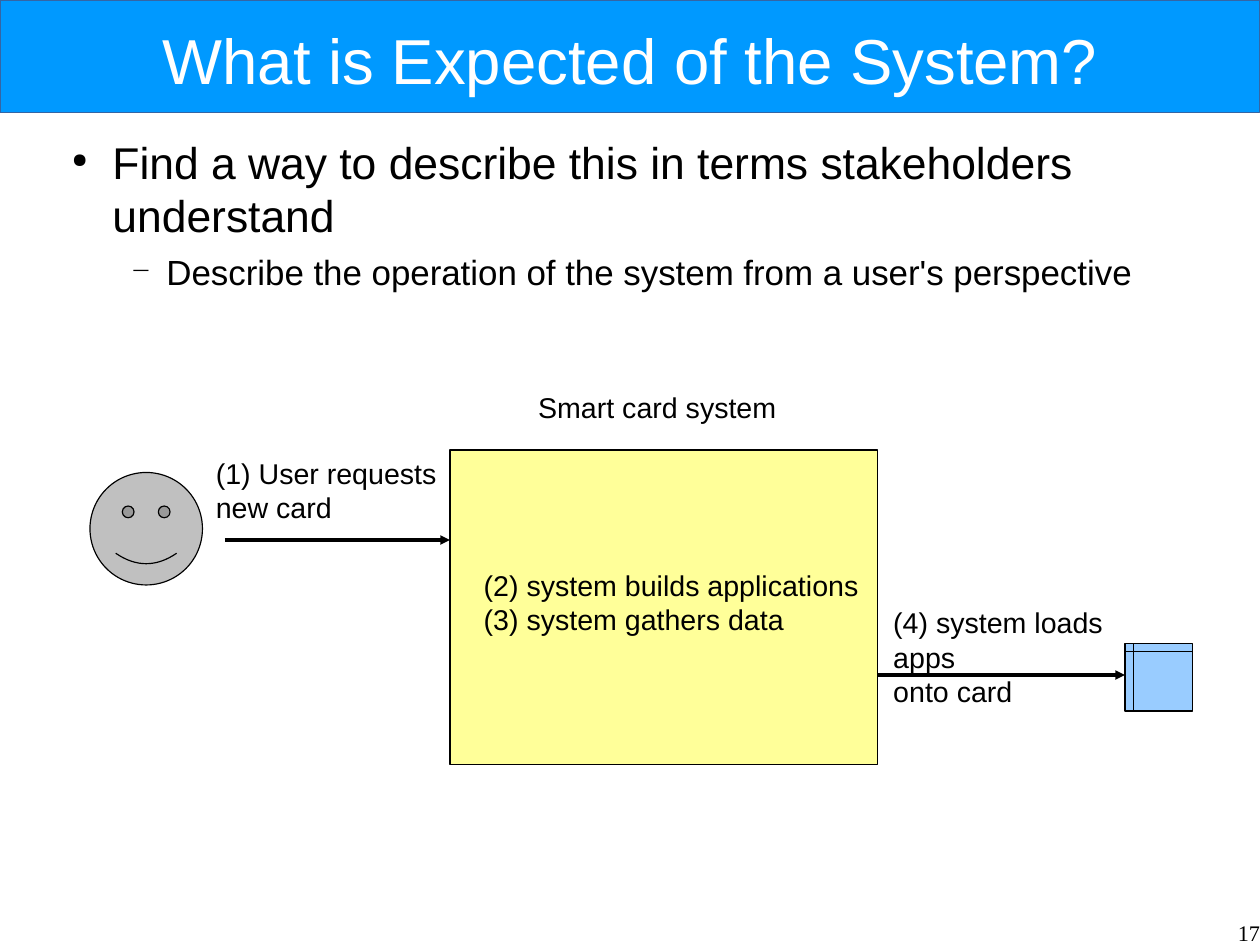
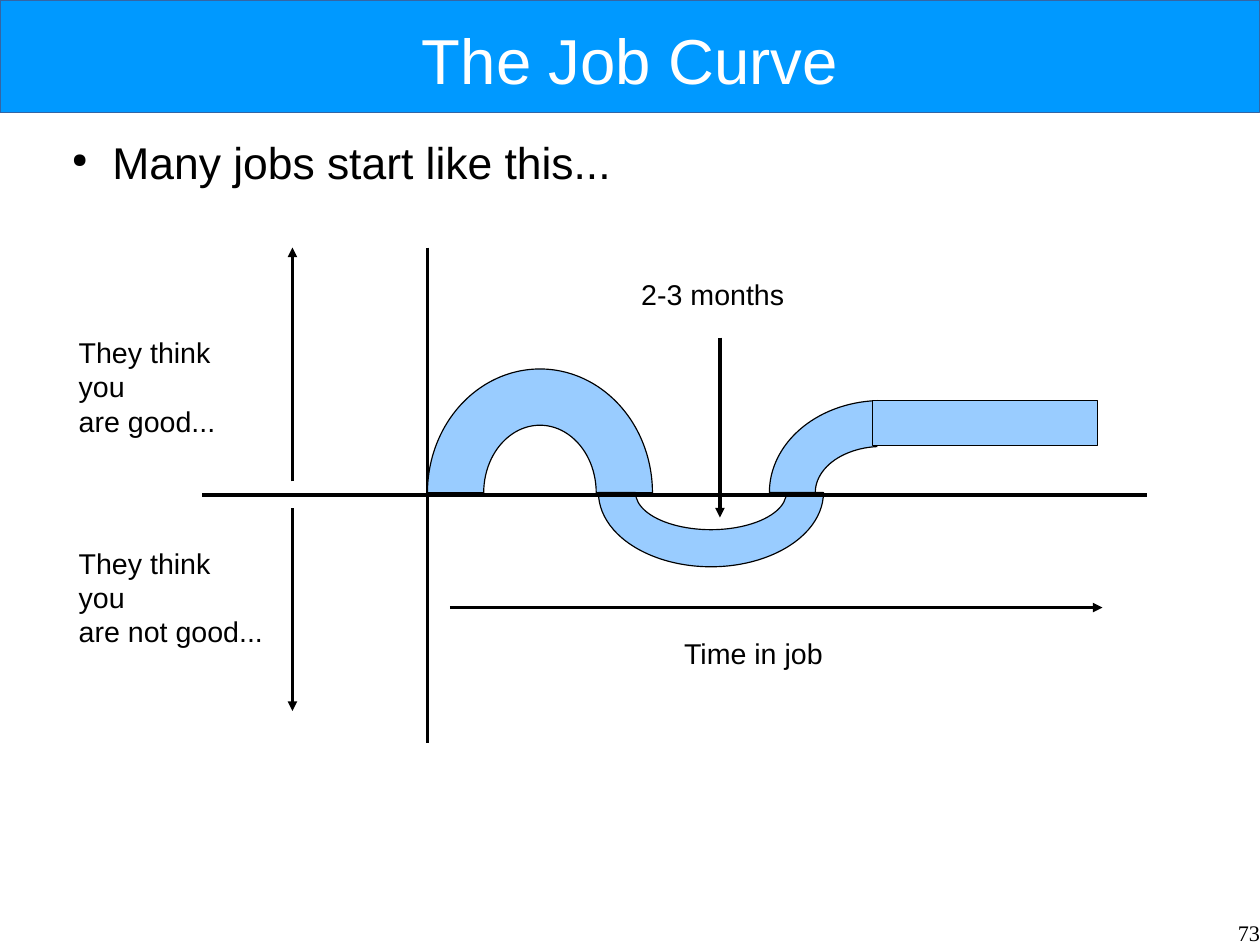
from lxml import etree
from pptx import Presentation
from pptx.dml.color import RGBColor
from pptx.enum import shapes, text
from pptx.oxml.ns import qn
from pptx.util import Pt

WIDTH, HEIGHT = 793.7, 595.28
BAND_HEIGHT = 70.87
HAIRLINE = 0

BLACK = RGBColor(0x00, 0x00, 0x00)
WHITE = RGBColor(0xFF, 0xFF, 0xFF)
BAND_BLUE = RGBColor(0x00, 0x99, 0xFF)
BAND_EDGE = RGBColor(0x34, 0x65, 0xA4)
YELLOW = RGBColor(0xFF, 0xFF, 0x99)
GREY = RGBColor(0xC0, 0xC0, 0xC0)
LIGHT_BLUE = RGBColor(0x99, 0xCC, 0xFF)

SHAPE = shapes.MSO_SHAPE
ALIGN = text.PP_ALIGN

# Per level: size, left margin, hanging indent, space after, bullet, bullet percent
LEVELS = (
    (28, 34, 25.5, 5.8, "●", 45),
    (22, 68, 22.5, 11.3, "−", 75),
)


class Deck:
    """Holds the style and the current slide."""

    def __init__(self):
        self.presentation = Presentation()
        self.presentation.slide_width = Pt(WIDTH)
        self.presentation.slide_height = Pt(HEIGHT)
        self.slide = None

    def new_slide(self, title, number):
        self.slide = self.presentation.slides.add_slide(self.presentation.slide_layouts[6])
        self.shape(SHAPE.RECTANGLE, 0, 0, WIDTH, BAND_HEIGHT, BAND_BLUE, BAND_EDGE)
        frame = self.frame(39.68, 6.5, 714.3, 61)
        frame.vertical_anchor = text.MSO_ANCHOR.MIDDLE
        self.styled_run(frame.paragraphs[0], title, 40, WHITE, ALIGN.CENTER)
        frame = self.frame(608.5, 579, WIDTH - 608.5, 41)
        self.styled_run(frame.paragraphs[0], number, 14, BLACK, ALIGN.RIGHT, "Times New Roman")

    def frame(self, left, top, width, height, inset=(0, 0), wrap=True):
        box = self.slide.shapes.add_textbox(Pt(left), Pt(top), Pt(width), Pt(height))
        frame = box.text_frame
        frame.word_wrap = wrap
        frame.margin_left = frame.margin_right = Pt(inset[0])
        frame.margin_top = frame.margin_bottom = Pt(inset[1])
        return frame

    def styled_run(self, paragraph, words, size, color=BLACK, align=ALIGN.LEFT, font="Arial"):
        paragraph.alignment = align
        run = paragraph.add_run()
        run.text = words
        run.font.size = Pt(size)
        run.font.name = font
        run.font.color.rgb = color

    def bullets(self, *items):
        frame = self.frame(36.85, 85, 714.3, 496)
        for index, (level, words) in enumerate(items):
            size, margin, hanging, after, mark, percent = LEVELS[level]
            paragraph = frame.add_paragraph() if index else frame.paragraphs[0]
            paragraph.level = level
            paragraph.space_after = Pt(after)
            self.styled_run(paragraph, words, size)
            properties = paragraph._p.get_or_add_pPr()
            properties.set("marL", str(Pt(margin)))
            properties.set("indent", str(-Pt(hanging)))
            color = etree.SubElement(properties, qn("a:buClr"))
            etree.SubElement(color, qn("a:srgbClr"), val=str(BLACK))
            etree.SubElement(properties, qn("a:buSzPct"), val=str(percent * 1000))
            etree.SubElement(properties, qn("a:buChar"), char=mark)

    def label(self, left, top, width, *lines):
        height = 7.2 + 20.2 * len(lines)
        frame = self.frame(left, top, width, height, inset=(7.2, 3.6), wrap=False)
        for index, words in enumerate(lines):
            paragraph = frame.add_paragraph() if index else frame.paragraphs[0]
            self.styled_run(paragraph, words, 18)

    def shape(self, kind, left, top, width, height, fill, line=BLACK, adjust=(), flip=False):
        shape = self.slide.shapes.add_shape(kind, Pt(left), Pt(top), Pt(width), Pt(height))
        shape.shadow.inherit = False
        shape.fill.solid()
        shape.fill.fore_color.rgb = fill
        if line is None:
            shape.line.fill.background()
        else:
            shape.line.color.rgb = line
            shape.line.width = Pt(HAIRLINE)
        for index, value in enumerate(adjust):
            shape.adjustments[index] = value
        if flip:
            shape._element.spPr.find(qn("a:xfrm")).set("flipV", "1")

    def arc(self, left, top, height, flip=False):
        self.shape(SHAPE.BLOCK_ARC, left, top, 141.73, height, LIGHT_BLUE,
                   adjust=(108, 0, 0.25), flip=flip)

    def line(self, x1, y1, x2, y2, arrow=False):
        connector = self.slide.shapes.add_connector(
            shapes.MSO_CONNECTOR.STRAIGHT, Pt(x1), Pt(y1), Pt(x2), Pt(y2))
        connector.line.color.rgb = BLACK
        connector.line.width = Pt(HAIRLINE)
        properties = connector._element.spPr
        if arrow:
            etree.SubElement(properties.find(qn("a:ln")), qn("a:tailEnd"), type="triangle")
        etree.SubElement(properties, qn("a:effectLst"))


def expectation_slide(deck):
    deck.new_slide("What is Expected of the System?", "17")
    deck.bullets(
        (0, "Find a way to describe this in terms stakeholders understand"),
        (1, "Describe the operation of the system from a user's perspective"),
    )

    # System and user
    system_left, system_right = 283.46, 552.76
    deck.shape(SHAPE.RECTANGLE, system_left, 283.46, system_right - system_left, 198.43, YELLOW)
    deck.shape(SHAPE.SMILEY_FACE, 56.69, 297.64, 70.87, 70.87, GREY, adjust=(0.05,))

    # Request
    deck.line(141.73, 340.16, system_left, 340.16, arrow=True)
    deck.label(128.9, 283.46, 153.4, "(1) User requests", "new card")
    deck.label(297.64, 354.33, 250.6, "(2) system builds applications", "(3) system gathers data")
    deck.label(331.9, 242, 164.2, "Smart card system")

    # Card
    card_left = 708.66
    deck.line(system_right, 425.2, card_left, 425.2, arrow=True)
    deck.shape(SHAPE.FLOWCHART_INTERNAL_STORAGE, card_left, 405.35, 42.52, 42.52, LIGHT_BLUE)
    deck.label(555.6, 377.8, 190, "(4) system loads apps", "onto card")


def job_curve_slide(deck):
    deck.new_slide("The Job Curve", "73")
    deck.bullets((0, "Many jobs start like this..."))

    # Opinion scale
    axis_x, axis_y, scale_x = 269.29, 311.81, 184.25
    deck.line(axis_x, 155.91, axis_x, 467.72)
    deck.line(scale_x, 303.3, scale_x, 155.91, arrow=True)
    deck.line(scale_x, 320.3, scale_x, 447.87, arrow=True)
    deck.label(42.5, 207.4, 131, "They think you", "are good...")
    deck.label(42.5, 340.16, 131, "They think you", "are not good...")

    # Curve: the white mask hides the right half of the last arc
    deck.arc(axis_x, 232.44, 155.91)
    deck.arc(377, 263.6, 93.5, flip=True)
    deck.arc(484.7, 252.28, 115.8)
    deck.shape(SHAPE.RECTANGLE, 552.76, 212.6, 85.04, 99.2, WHITE, line=None)
    deck.shape(SHAPE.RECTANGLE, 549.9, 252.28, 141.73, 28.35, LIGHT_BLUE)

    # Time
    deck.line(127.56, axis_y, 722.83, axis_y)
    deck.line(283.46, 382.68, 694.5, 382.68, arrow=True)
    deck.label(423.8, 396.85, 102.2, "Time in job")
    deck.line(453.54, 212.6, 453.54, 326, arrow=True)
    deck.label(396.85, 171, 104.4, "2-3 months")


def main():
    deck = Deck()
    expectation_slide(deck)
    job_curve_slide(deck)
    deck.presentation.save("out.pptx")


if __name__ == "__main__":
    main()
